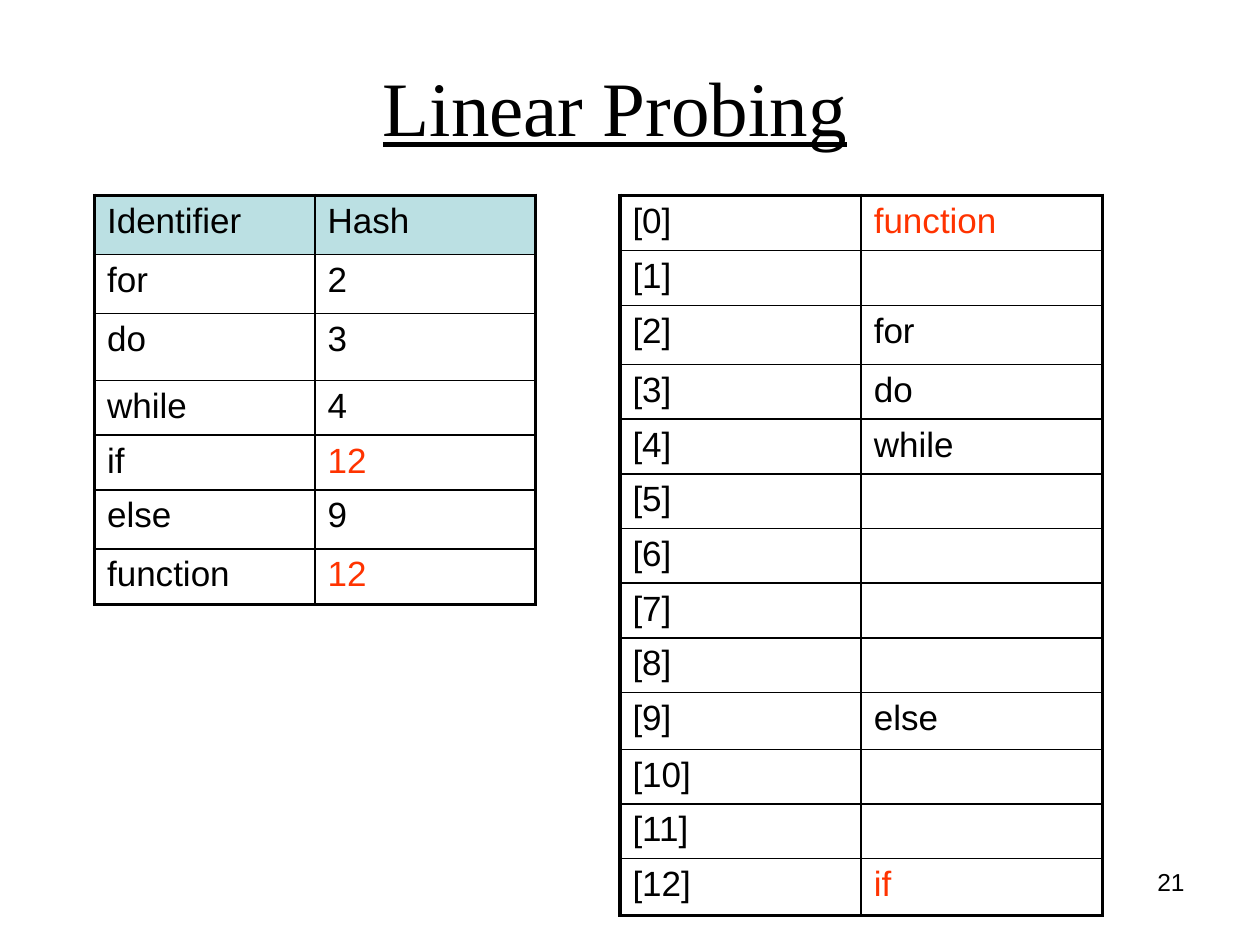
from lxml.etree import SubElement
from pptx import Presentation
from pptx.dml.color import RGBColor
from pptx.enum.text import MSO_ANCHOR, PP_ALIGN
from pptx.oxml.ns import qn
from pptx.util import Inches, Pt

COLORS = {"text": "000000", "accent": "FF3300", "header": "BBE0E3", "border": "000000"}
OUTER_WIDTH = 2.25
INNER_WIDTH = 1

HASH_ROWS = [
    ("Identifier", "Hash"),
    ("for", "2"),
    ("do", "3"),
    ("while", "4"),
    ("if", "12"),
    ("else", "9"),
    ("function", "12"),
]
HASH_HEIGHTS = [0.47, 0.47, 0.53, 0.43, 0.42, 0.47, 0.44]
BUCKETS = {0: "function", 2: "for", 3: "do", 4: "while", 9: "else", 12: "if"}
BUCKET_HEIGHTS = [0.44, 0.34, 0.47, 0.36, 0.34, 0.39, 0.37,
                  0.42, 0.32, 0.45, 0.42, 0.32, 0.45]


def write_text(frame, text, size=20, font="Arial", color="text",
               underline=False, align=PP_ALIGN.LEFT):
    paragraph = frame.paragraphs[0]
    paragraph.alignment = align
    paragraph.font.size = Pt(size)
    if not text:
        return
    run = paragraph.add_run()
    run.text = text
    run.font.size = Pt(size)
    run.font.name = font
    run.font.underline = underline
    run.font.color.rgb = RGBColor.from_string(COLORS[color])


def add_label(slide, box, text, anchor=MSO_ANCHOR.TOP, **text_format):
    shape = slide.shapes.add_textbox(*map(Inches, box))
    frame = shape.text_frame
    frame.word_wrap = True
    frame.vertical_anchor = anchor
    write_text(frame, text, **text_format)


def set_borders(cell, widths):
    properties = cell._tc.get_or_add_tcPr()
    for side, width in widths.items():
        line = SubElement(properties, qn(f"a:ln{side}"), w=str(Pt(width)))
        fill = SubElement(line, qn("a:solidFill"))
        SubElement(fill, qn("a:srgbClr"), val=COLORS["border"])


def add_grid(slide, box, rows, row_heights, accents, has_header=False):
    left, top, width, height = map(Inches, box)
    row_count, column_count = len(rows), len(rows[0])
    graphic_frame = slide.shapes.add_table(
        row_count, column_count, left, top, width, height)
    table = graphic_frame.table
    table.first_row = has_header
    table.horz_banding = False
    for row_index, values in enumerate(rows):
        table.rows[row_index].height = Inches(row_heights[row_index])
        for column_index, value in enumerate(values):
            cell = table.cell(row_index, column_index)
            outer_sides = {
                "L": column_index == 0,
                "R": column_index == column_count - 1,
                "T": row_index == 0,
                "B": row_index == row_count - 1,
            }
            set_borders(cell, {side: OUTER_WIDTH if outer else INNER_WIDTH
                               for side, outer in outer_sides.items()})
            if has_header and row_index == 0:
                cell.fill.solid()
                cell.fill.fore_color.rgb = RGBColor.from_string(COLORS["header"])
            else:
                cell.fill.background()
            accented = column_index == 1 and value in accents
            write_text(cell.text_frame, value, color="accent" if accented else "text")
    graphic_frame.height = height


def main():
    presentation = Presentation()
    presentation.slide_width = Inches(10)
    presentation.slide_height = Inches(7.5)
    slide = presentation.slides.add_slide(presentation.slide_layouts[6])

    add_label(slide, (7.17, 6.83, 2.33, 0.52), "21", size=14, align=PP_ALIGN.RIGHT)
    add_label(slide, (2.94, 0.21, 6.55, 1.25), "Linear Probing",
              anchor=MSO_ANCHOR.MIDDLE, size=44, font="Times New Roman", underline=True)
    bucket_rows = [(f"[{index}]", BUCKETS.get(index, ""))
                   for index in range(len(BUCKET_HEIGHTS))]
    add_grid(slide, (4.92, 1.55, 3.83, 5.71), bucket_rows, BUCKET_HEIGHTS,
             accents={"function", "if"})
    add_grid(slide, (0.75, 1.55, 3.5, 3.26), HASH_ROWS, HASH_HEIGHTS,
             accents={"12"}, has_header=True)

    presentation.save("out.pptx")


if __name__ == "__main__":
    main()
